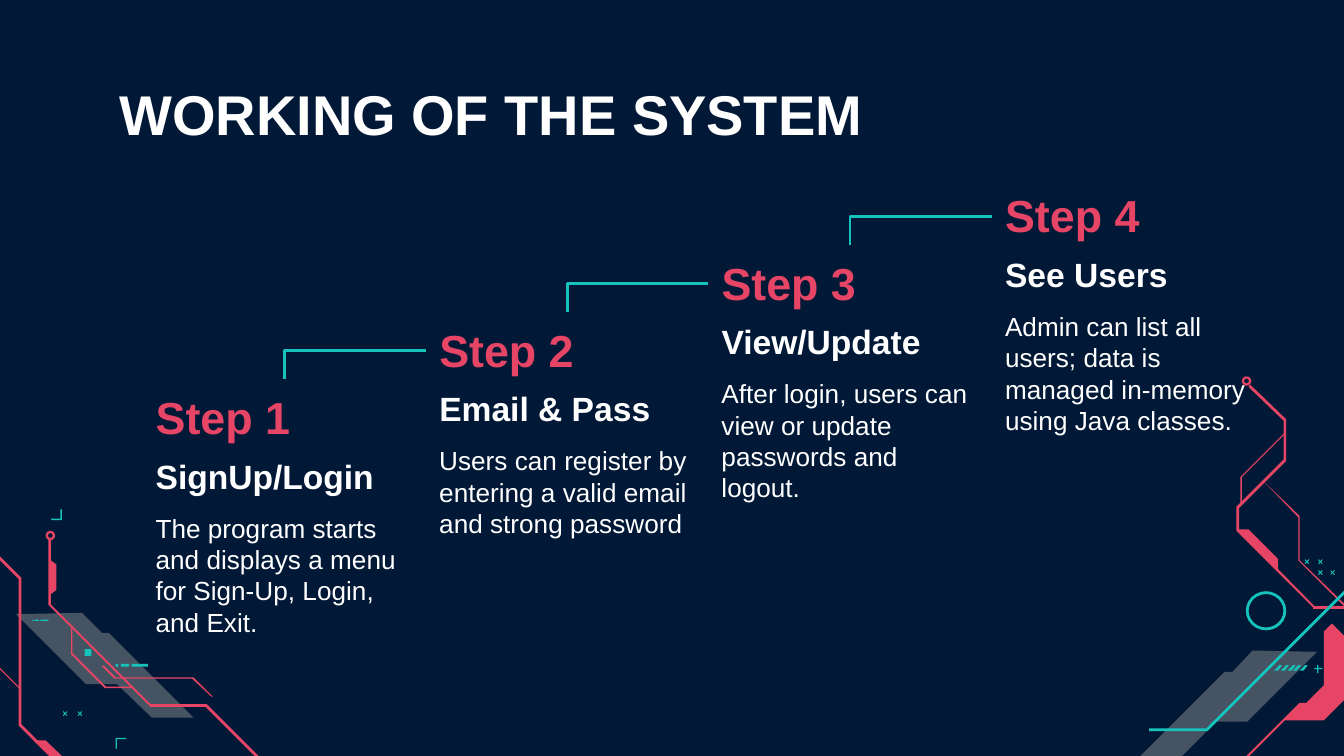
from pptx import Presentation
from pptx.dml.color import RGBColor
from pptx.enum.shapes import MSO_CONNECTOR as CONN, MSO_SHAPE as SHAPE
from pptx.enum.text import MSO_ANCHOR as ANCHOR
from pptx.oxml.ns import qn
from pptx.oxml.xmlchemy import OxmlElement
from pptx.util import Pt

PX = 9144
COLORS = {"navy": "011936", "slate": "465362", "teal": "15C2BC",
          "pink": "E64566", "white": "FFFFFF"}

BANDS = [
    [(932, 484), (980, 485), (928, 537), (905, 537), (879, 563), (848, 563),
     (911, 500), (917, 500)],
    [(61, 456), (12, 457), (64, 509), (87, 509), (113, 534), (144, 534),
     (81, 471), (76, 471)],
]
LEFT_TRACES = [
    [(38, 417), (38, 442), (42, 439), (42, 420)],
    [(36, 401), (36, 450), (111, 525), (112, 526), (153, 526), (208, 581),
     (209, 579), (154, 524), (112, 524), (38, 450), (38, 401)],
    [(53, 466), (53, 487), (78, 512), (99, 512), (99, 511), (79, 511),
     (54, 486), (54, 466)],
    [(-24, 390), (-25, 392), (14, 431), (14, 540), (67, 593), (150, 593),
     (150, 637), (152, 637), (152, 591), (68, 591), (16, 539), (16, 430)],
    [(25, 551), (56, 581), (56, 572), (34, 551)],
    [(-48, 422), (-48, 423), (-24, 448), (-24, 474), (15, 513), (15, 512),
     (-23, 474), (-23, 448)],
    [(77, 495), (76, 496), (85, 505), (143, 505), (158, 519), (158, 518),
     (144, 504), (86, 504)],
]
RIGHT_TRACES = [
    [(921, 394), (951, 424), (951, 416), (929, 394)],
    [(930, 286), (929, 288), (955, 313), (955, 342), (920, 377), (920, 395),
     (977, 452), (977, 453), (1019, 453), (1071, 505), (1072, 503),
     (1020, 451), (978, 451), (922, 394), (922, 378), (957, 343), (957, 312)],
    [(940, 358), (966, 385), (966, 417), (1001, 452), (1002, 451),
     (967, 417), (967, 384)],
    [(955, 323), (923, 355), (923, 375), (924, 375), (924, 355), (956, 323)],
    [(1107, 413), (1036, 484), (1011, 484), (991, 464), (985, 470),
     (985, 510), (972, 523), (967, 523), (877, 613), (878, 614), (956, 536),
     (985, 536), (1107, 414)],
]
BRACKETS = [
    [(45, 379), (45, 386), (38, 386), (38, 387), (46, 387), (46, 379)],
    [(86, 549), (86, 557), (87, 557), (87, 550), (94, 550), (94, 549)],
]
BARS = [(63, 483, 5, 5), (98, 494, 12, 2), (90, 494, 6, 2), (86, 494, 2, 2),
        (30, 461, 6, 1), (26, 461, 3, 1), (24, 461, 1, 1),
        (980, 495, 1, 6), (978, 497, 6, 1)]
CROSSES = [(58, 529), (47, 529), (981, 424), (990, 424), (971, 416), (981, 416)]
CROSS_STROKES = [[(3, 0), (0, 3), (0, 4), (3, 1)], [(0, 0), (0, 1), (3, 4), (3, 3)]]
SLASH = [(4, 0), (0, 4), (3, 4), (6, 0)]

STEPS = [
    ("SignUp/Login", "The program starts and displays a menu for Sign-Up, Login, and Exit."),
    ("Email & Pass", "Users can register by entering a valid email and strong password"),
    ("View/Update", "After login, users can view or update passwords and logout."),
    ("See Users", "Admin can list all users; data is managed in-memory using Java classes."),
]


class Deck:
    """Hold the style and the current slide, and draw each kind of element."""

    def __init__(self, width):
        self.prs = Presentation()
        self.prs.slide_width = width * PX
        self.prs.slide_height = width * PX * 9 // 16
        self.s = self.prs.slides.add_slide(self.prs.slide_layouts[6])
        bg = self.s.background.fill
        bg.solid()
        bg.fore_color.rgb = self.rgb("navy")

    def rgb(self, name):
        return RGBColor.from_string(COLORS[name])

    def paint(self, sp, fill=None, line=None):
        sp.shadow.inherit = False
        if fill:
            sp.fill.solid()
            sp.fill.fore_color.rgb = self.rgb(fill)
        else:
            sp.fill.background()
        if line:
            sp.line.color.rgb = self.rgb(line)
            sp.line.width = Pt(1.5)
        else:
            sp.line.fill.background()
        return sp

    def outline(self, points, fill=None, line=None, at=(0, 0)):
        points = [(x + at[0], y + at[1]) for x, y in points]
        fb = self.s.shapes.build_freeform(*points[0], scale=PX)
        fb.add_line_segments(points[1:], close=bool(fill))
        return self.paint(fb.convert_to_shape(), fill, line)

    def preset(self, kind, x, y, w, h, fill=None, line=None):
        sp = self.s.shapes.add_shape(kind, x * PX, y * PX, w * PX, h * PX)
        return self.paint(sp, fill, line)

    def ring(self, x, y):
        self.preset(SHAPE.DONUT, x, y, 7, 7, "pink").adjustments[0] = 0.25

    def text(self, text, x, y, w, h, size, color="white", bold=True,
             anchor=ANCHOR.BOTTOM):
        sp = self.s.shapes.add_textbox(x * PX, y * PX, w * PX, h * PX)
        tf = sp.text_frame
        tf.word_wrap, tf.vertical_anchor = True, anchor
        tf.margin_left = tf.margin_right = tf.margin_top = tf.margin_bottom = 10 * PX
        p = tf.paragraphs[0]
        p.text = text
        p.font.name, p.font.size, p.font.bold = "Arial", Pt(size), bold
        p.font.color.rgb = self.rgb(color)
        return sp

    def elbow(self, start, end):
        x1, y1 = start.left + start.width // 2, start.top
        x2, y2 = end.left, end.top + end.height // 2
        c = self.s.shapes.add_connector(CONN.ELBOW, x1, y1, x2, y2)
        c.begin_connect(start, 0)
        c.end_connect(end, 1)
        run, rise = x2 - x1, y1 - y2
        c.left, c.top = (x1 + x2 - rise) // 2, (y1 + y2 - run) // 2
        c.width, c.height = rise, run
        pr = c._element.spPr
        xfrm = pr.find(qn("a:xfrm"))
        xfrm.set("rot", "16200000")
        xfrm.set("flipV", "0")
        pr.find(qn("a:prstGeom")).set("prst", "bentConnector2")
        c.line.color.rgb = self.rgb("teal")
        c.line.width = Pt(1.5)
        pr.append(OxmlElement("a:effectLst"))


def draw_circuits(deck):
    for points in BANDS:
        deck.outline(points, "slate")
    for points in LEFT_TRACES + RIGHT_TRACES:
        deck.outline(points, "pink")
    for points in BRACKETS:
        deck.outline(points, "teal")
    for at in CROSSES:
        for stroke in CROSS_STROKES:
            deck.outline(stroke, "teal", at=at)
    for i in range(5):
        deck.outline(SLASH, "teal", at=(948 + round(i * 4.75), 495))
    for bar in BARS:
        deck.preset(SHAPE.RECTANGLE, *bar, fill="teal")
    deck.ring(34, 395)
    deck.ring(924, 280)
    deck.preset(SHAPE.OVAL, 928, 441, 28, 27, line="teal")
    deck.outline([(855, 543), (898, 543), (1107, 334)], line="teal")


def draw_steps(deck):
    boxes = []
    for i, (heading, body) in enumerate(STEPS):
        x, y = 106 + round(i * 632 / 3), 282 - 50 * i
        deck.text(heading, x, y + 39, 211, 58, 18)
        deck.text(body, x, y + 89, 210, 58, 14, bold=False, anchor=ANCHOR.TOP)
        boxes.append(deck.text(f"Step {i + 1}", x, y, 211, 58, 24, "pink"))
    for start, end in zip(boxes, boxes[1:]):
        deck.elbow(start, end)


def main():
    deck = Deck(1000)
    draw_circuits(deck)
    deck.text("WORKING OF THE SYSTEM", 79, 49, 843, 63, 30, anchor=ANCHOR.TOP)
    draw_steps(deck)
    deck.prs.save("out.pptx")


if __name__ == "__main__":
    main()
